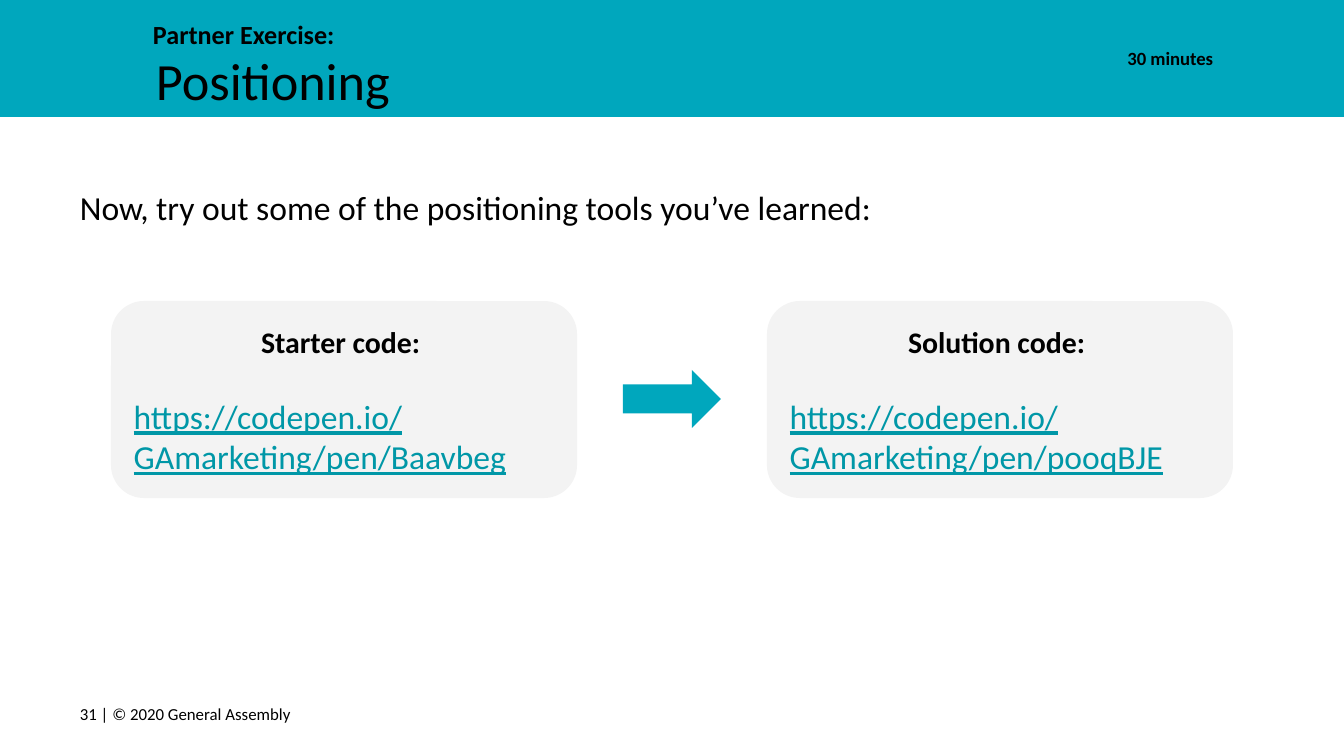
from pptx import Presentation
from pptx.dml.color import RGBColor
from pptx.enum.shapes import MSO_SHAPE
from pptx.enum.text import MSO_ANCHOR, PP_ALIGN
from pptx.util import Emu, Pt

EMU_PER_PX = 914400 / 134.4
TEAL, PALE, LINK, BLACK = "00A7BD", "F3F3F3", "0097A7", "000000"
INSET = 13


def px(length):
    """Turn a length in px into EMU."""
    return Emu(round(length * EMU_PER_PX))


def color(hex_value):
    """Turn a hex string into a colour."""
    return RGBColor.from_string(hex_value)


def apply(target, values):
    """Set each attribute of the target from a dict."""
    for attribute, value in values.items():
        setattr(target, attribute, value)


def prepare_frame(frame, inset=INSET, anchor=MSO_ANCHOR.TOP):
    """Set wrapping, anchor and equal margins of a text frame."""
    apply(frame, {"word_wrap": True, "vertical_anchor": anchor})
    for side in ("left", "top", "right", "bottom"):
        setattr(frame, f"margin_{side}", px(inset))


def write(paragraph, text, size, hex_value=BLACK, layout=None, **font):
    """Write one formatted run into a paragraph."""
    apply(paragraph, layout or {})
    run = paragraph.add_run()
    run.text = text
    apply(run.font, {"name": "Calibri", "size": Pt(size), **font})
    run.font.color.rgb = color(hex_value)


def add_label(slide, box, text, size, inset=INSET, anchor=MSO_ANCHOR.TOP, **style):
    """Add a text box with one paragraph."""
    frame = slide.shapes.add_textbox(*map(px, box)).text_frame
    prepare_frame(frame, inset, anchor)
    write(frame.paragraphs[0], text, size, **style)


def add_block(slide, kind, box, hex_value):
    """Add a flat filled shape without outline."""
    block = slide.shapes.add_shape(kind, *map(px, box))
    block.shadow.inherit = False
    block.fill.solid()
    block.fill.fore_color.rgb = color(hex_value)
    block.line.fill.background()
    return block


def add_header(slide, box):
    """Add the teal band with exercise kind, title and duration."""
    left, top, width, height = box
    add_block(slide, MSO_SHAPE.RECTANGLE, box, TEAL)
    add_label(slide, (left + 140, top + 6, 327, 67), "Partner Exercise:", 14, bold=True)
    add_label(slide, (left + 156, top + 47, 737, 67), "Positioning", 28,
              inset=0, anchor=MSO_ANCHOR.MIDDLE)
    add_label(slide, (left + width - 314, top + 32, 196, 48), "30 minutes", 10, bold=True,
              layout={"alignment": PP_ALIGN.RIGHT, "line_spacing": 1.15})


def add_code_card(slide, box, heading, address):
    """Add a rounded card with a heading above a code address."""
    card = add_block(slide, MSO_SHAPE.ROUNDED_RECTANGLE, box, PALE)
    card.adjustments[0] = 0.167
    frame = card.text_frame
    prepare_frame(frame)
    write(frame.paragraphs[0], heading, 16, bold=True,
          layout={"alignment": PP_ALIGN.CENTER, "space_after": Pt(19.5)})
    write(frame.add_paragraph(), address, 18, LINK, underline=True,
          layout={"alignment": PP_ALIGN.LEFT})


def add_code_pair(slide, box):
    """Add the starter and solution cards with an arrow centred between them."""
    left, top, width, height = box
    card_width, arrow_width, arrow_height = 466, 98, 58
    cards = (("Starter code: ", "https://codepen.io/GAmarketing/pen/Baavbeg"),
             ("Solution code: ", "https://codepen.io/GAmarketing/pen/pooqBJE"))
    for index, (heading, address) in enumerate(cards):
        card_left = left + index * (width - card_width)
        add_code_card(slide, (card_left, top, card_width, height), heading, address)
    arrow_box = (left + (width - arrow_width) // 2, top + (height - arrow_height) // 2,
                 arrow_width, arrow_height)
    add_block(slide, MSO_SHAPE.RIGHT_ARROW, arrow_box, TEAL)


def main():
    """Build and save the positioning exercise slide."""
    deck = Presentation()
    apply(deck, {"slide_width": px(1344), "slide_height": px(756)})
    slide = deck.slides.add_slide(deck.slide_layouts[6])
    add_header(slide, (0, -1, 1344, 118))
    add_label(slide, (67, 168, 1210, 82),
              "Now, try out some of the positioning tools you’ve learned:", 18,
              layout={"line_spacing": 1.15})
    add_code_pair(slide, (111, 301, 1122, 197))
    add_label(slide, (67, 685, 421, 58), "31 | © 2020 General Assembly", 9,
              anchor=MSO_ANCHOR.MIDDLE)
    deck.save("out.pptx")


if __name__ == "__main__":
    main()
